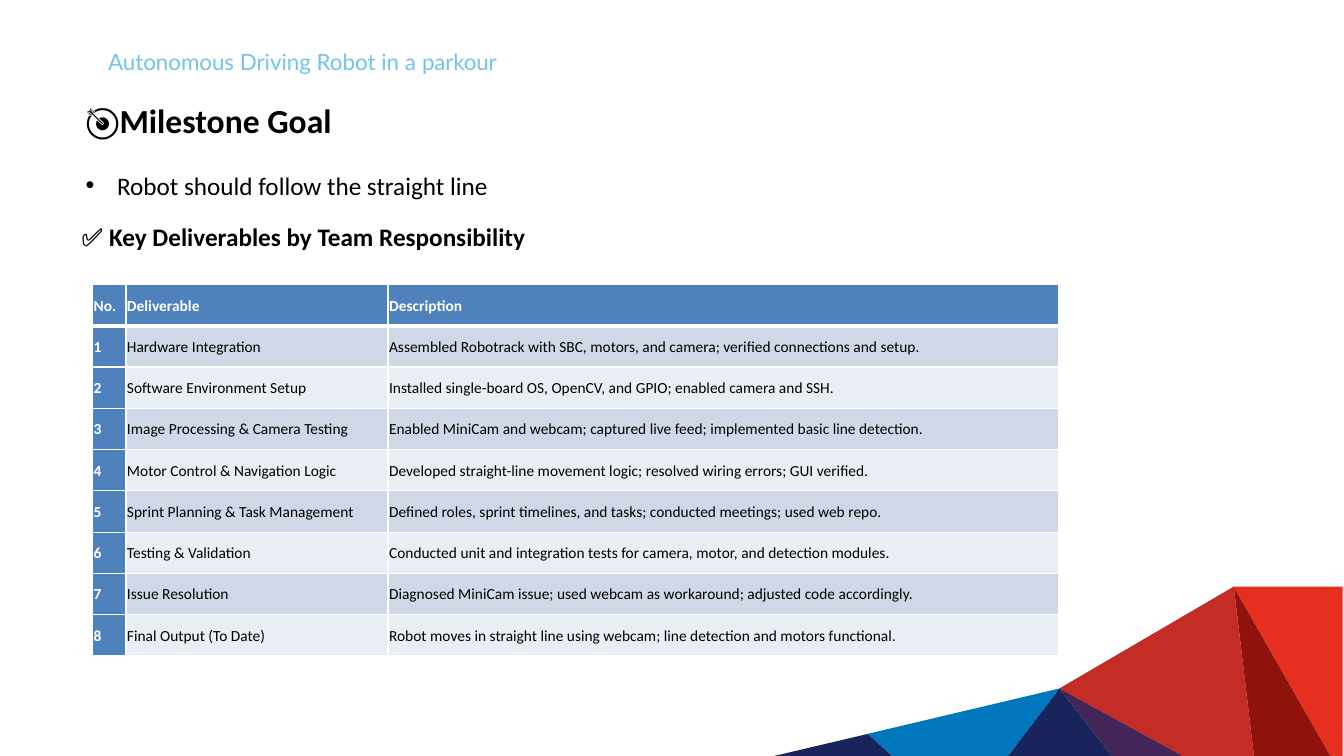
from lxml.etree import SubElement as Sub
from pptx import Presentation
from pptx.dml.color import RGBColor as RGB
from pptx.enum.text import MSO_ANCHOR as Anchor
from pptx.oxml.ns import qn
from pptx.util import Pt

BLACK, WHITE = RGB(0, 0, 0), RGB(255, 255, 255)
SKY = RGB(0x70, 0xC6, 0xE4)
BLUE = RGB(0x4F, 0x81, 0xBD)
BANDS = RGB(0xD0, 0xD8, 0xE8), RGB(0xE9, 0xED, 0xF4)
MAROON, RUST, RED = RGB(0x90, 0x12, 0x0D), RGB(0xC3, 0x2D, 0x25), RGB(0xE6, 0x2F, 0x1F)
PLUM, NAVY, AZURE = RGB(0x44, 0x25, 0x5A), RGB(0x18, 0x24, 0x5B), RGB(0, 0x77, 0xBC)


def add_run(par, text, size, color=BLACK, bold=False, face="Calibri"):
    run = par.add_run()
    run.text = text
    font = run.font
    font.name, font.size, font.bold = face, Pt(size), bold
    font.color.rgb = color
    return run


def add_box(left, top, width, height):
    frame = slide.shapes.add_textbox(Pt(left), Pt(top), Pt(width), Pt(height)).text_frame
    frame.word_wrap = True
    return frame


deck = Presentation()
deck.slide_width, deck.slide_height = Pt(960), Pt(540)
slide = deck.slides.add_slide(deck.slide_layouts[6])

# Corner facets, built on shared points
peak, hub, wing = (881.3, 419), (756.7, 491.8), (619.9, 524.2)
base = [(x, 540) for x in (553, 637.2, 720, 794.2, 844.6, 895.7, 950.4, 959)]
facets = [
    (MAROON, [peak, base[5], base[6]]),
    (RUST, [peak, hub, base[4], base[5]]),
    (PLUM, [hub, base[3], base[4]]),
    (NAVY, [hub, base[2], base[3]]),
    (AZURE, [hub, wing, base[1], base[2]]),
    (NAVY, [wing, base[0], base[1]]),
    (RED, [(959, 419), peak, base[6], base[7]]),
]
for color, points in facets:
    first, *rest = [(Pt(x), Pt(y)) for x, y in points]
    path = slide.shapes.build_freeform(*first)
    path.add_line_segments(rest, close=True)
    facet = path.convert_to_shape()
    facet.shadow.inherit = False
    facet.fill.solid()
    facet.fill.fore_color.rgb = color
    facet.line.fill.background()

# Project title
frame = add_box(76.3, 33.1, 404, 20.2)
frame.margin_left = frame.margin_right = frame.margin_bottom = 0
frame.margin_top = Pt(1)
par = frame.paragraphs[0]
par._p.get_or_add_pPr().set("marL", str(Pt(0.9)))
add_run(par, "Autonomous Driving Robot in a ", 16, SKY, face="Lato")
last = add_run(par, "parkour", 16, SKY, face="Lato")
last.font._element.set("spc", "-10")

# Table heading
par = add_box(51.1, 154.8, 480.2, 29).paragraphs[0]
add_run(par, "✅ ", 18)
add_run(par, "Key Deliverables by Team Responsibility", 18, bold=True)

# Milestone goal
frame = add_box(54, 67.7, 822.2, 101.5)
add_run(frame.paragraphs[0], "🎯Milestone Goal", 24, bold=True)
par = frame.add_paragraph()
par.space_before = Pt(21.5)
props = par._p.get_or_add_pPr()
props.set("marL", str(Pt(22.5)))
props.set("indent", str(Pt(-22.5)))
Sub(props, qn("a:buFont"), typeface="Arial")
Sub(props, qn("a:buChar"), char="•")
add_run(par, "Robot should follow the straight line", 18)

# Deliverables table
items = [
    ("Hardware Integration",
     "Assembled Robotrack with SBC, motors, and camera; verified connections and setup."),
    ("Software Environment Setup",
     "Installed single-board OS, OpenCV, and GPIO; enabled camera and SSH."),
    ("Image Processing & Camera Testing",
     "Enabled MiniCam and webcam; captured live feed; implemented basic line detection."),
    ("Motor Control & Navigation Logic",
     "Developed straight-line movement logic; resolved wiring errors; GUI verified."),
    ("Sprint Planning & Task Management",
     "Defined roles, sprint timelines, and tasks; conducted meetings; used web repo."),
    ("Testing & Validation",
     "Conducted unit and integration tests for camera, motor, and detection modules."),
    ("Issue Resolution",
     "Diagnosed MiniCam issue; used webcam as workaround; adjusted code accordingly."),
    ("Final Output (To Date)",
     "Robot moves in straight line using webcam; line detection and motors functional."),
]
rows = [("No.", "Deliverable", "Description")]
rows += [(str(n), *item) for n, item in enumerate(items, 1)]
widths = 23.8, 187.2, 479.2
high = 29.5
table = slide.shapes.add_table(len(rows), 3, Pt(66.2), Pt(203.2),
                               Pt(sum(widths)), Pt(high * len(rows))).table
for col, width in zip(table.columns, widths):
    col.width = Pt(width)
for r, row in enumerate(rows):
    table.rows[r].height = Pt(high)
    for c, text in enumerate(row):
        cell = table.cell(r, c)
        head = r == 0 or c == 0
        cell.vertical_anchor = Anchor.MIDDLE
        cell.margin_left = cell.margin_right = Pt(0.75)
        cell.margin_top = cell.margin_bottom = Pt(0.75)

        # White borders, thick under the header row
        props = cell._tc.get_or_add_tcPr()
        for side in "LRTB":
            thick = (r, side) in ((0, "B"), (1, "T"))
            line = Sub(props, qn("a:ln" + side), w=str(Pt(3 if thick else 1)))
            Sub(Sub(line, qn("a:solidFill")), qn("a:srgbClr"), val=str(WHITE))
        cell.fill.solid()
        cell.fill.fore_color.rgb = BLUE if head else BANDS[(r - 1) % 2]

        par = cell.text_frame.paragraphs[0]
        par.line_spacing = 1.07
        par.space_after = Pt(8)
        add_run(par, text, 11, WHITE if head else BLACK, head)

deck.save("out.pptx")
